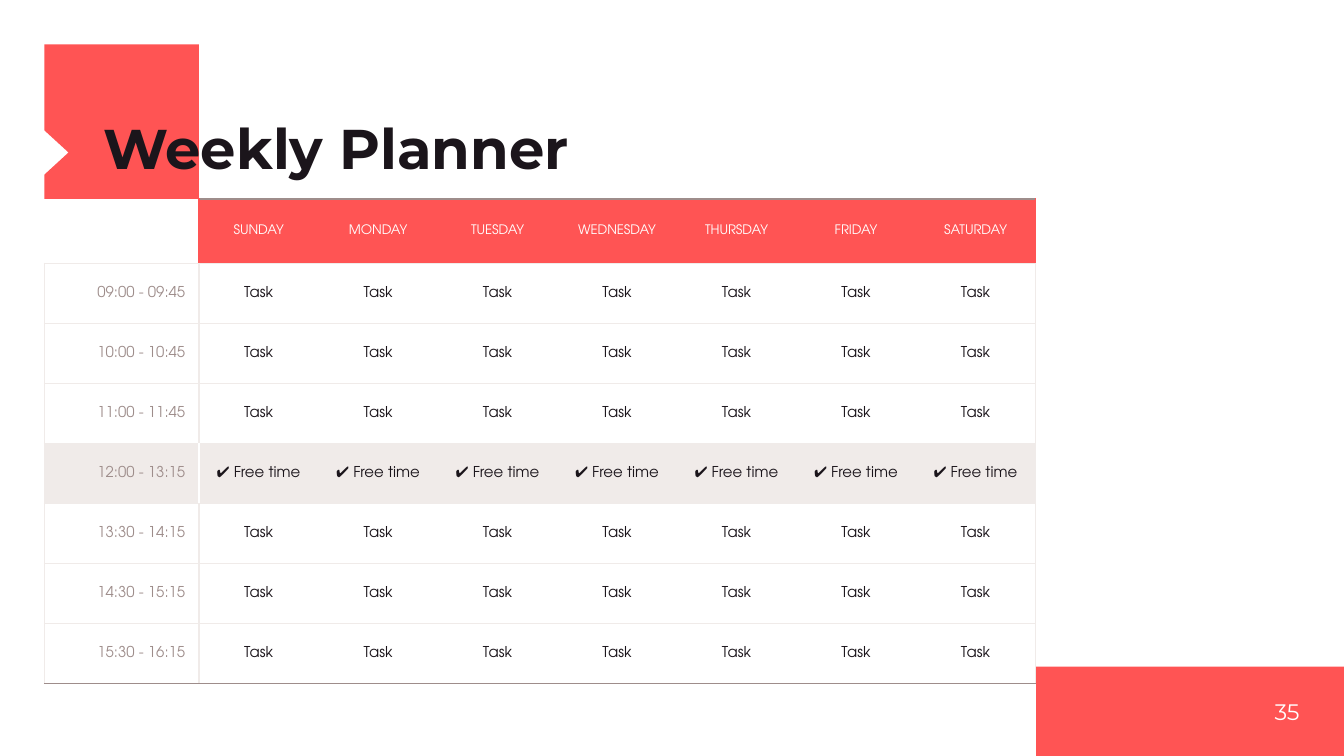
from lxml.etree import SubElement
from pptx import Presentation
from pptx.dml.color import RGBColor
from pptx.enum.shapes import MSO_SHAPE as SHAPE
from pptx.enum.text import MSO_ANCHOR as ANCHOR, PP_ALIGN as ALIGN
from pptx.oxml.ns import qn
from pptx.util import Inches, Pt

COLORS = {"coral": "FF5454", "ink": "1B151B", "taupe": "9E8D8B",
          "light": "F0EBE9", "white": "FFFFFF"}
HEAD, BODY = "Montserrat", "TeX Gyre Adventor"
DAYS = ["SUNDAY", "MONDAY", "TUESDAY", "WEDNESDAY", "THURSDAY", "FRIDAY", "SATURDAY"]
TIMES = ["09:00 - 09:45", "10:00 - 10:45", "11:00 - 11:45", "12:00 - 13:15",
         "13:30 - 14:15", "14:30 - 15:15", "15:30 - 16:15"]
BREAK = 4


class Planner:
    """Draws slide elements on a grid of 100 columns by 56.25 rows."""

    def __init__(self):
        self.prs = Presentation()
        self.prs.slide_width, self.prs.slide_height = self.grid(100, 56.25)
        self.s = self.prs.slides.add_slide(self.prs.slide_layouts[6])

    def grid(self, *units):
        return [Inches(u / 10) for u in units]

    def rgb(self, name):
        return RGBColor.from_string(COLORS[name])

    def paint(self, sp, color):
        sp.shadow.inherit = False
        sp.fill.solid()
        sp.fill.fore_color.rgb = self.rgb(color)
        sp.line.fill.background()

    def rect(self, box, color):
        self.paint(self.s.shapes.add_shape(SHAPE.RECTANGLE, *self.grid(*box)), color)

    def outline(self, points, color):
        start, *rest = [self.grid(*pt) for pt in points]
        fb = self.s.shapes.build_freeform(*start)
        fb.add_line_segments(rest, close=True)
        self.paint(fb.convert_to_shape(), color)

    def set_text(self, tf, text, size, color, font, align=ALIGN.LEFT, bold=False):
        tf.text = text
        p = tf.paragraphs[0]
        p.alignment = align
        f = p.runs[0].font if p.runs else p.font
        f.name, f.size, f.bold = font, Pt(size), bold
        f.color.rgb = self.rgb(color)
        return p

    def text(self, box, text, size, color, anchor, **style):
        tf = self.s.shapes.add_textbox(*self.grid(*box)).text_frame
        tf.word_wrap = True
        tf.vertical_anchor = anchor
        tf.margin_left = tf.margin_top = tf.margin_right = tf.margin_bottom = 0
        return self.set_text(tf, text, size, color, HEAD, **style)

    def borders(self, cell, **sides):
        tcPr = cell._tc.get_or_add_tcPr()
        for side, color in sides.items():
            ln = SubElement(tcPr, qn(f"a:ln{side}"), w=str(Pt(0.75)))
            if color:
                fill = SubElement(ln, qn("a:solidFill"))
                SubElement(fill, qn("a:srgbClr"), val=COLORS[color])
            else:
                SubElement(ln, qn("a:noFill"))

    def table(self, left, top, widths, heights, rows, look, h_edge, v_edge):
        box = self.grid(left, top, sum(widths), sum(heights))
        tbl = self.s.shapes.add_table(len(heights), len(widths), *box).table
        tbl.first_row = tbl.horz_banding = False
        for col, w in zip(tbl.columns, self.grid(*widths)):
            col.width = w
        for row, h in zip(tbl.rows, self.grid(*heights)):
            row.height = h
        for r, values in enumerate(rows):
            for c, value in enumerate(values):
                cell = tbl.cell(r, c)
                size, color, align, fill = look(r, c)
                self.set_text(cell.text_frame, value, size, color, BODY, align)
                cell.vertical_anchor = ANCHOR.MIDDLE
                cell.margin_left = cell.margin_right = Inches(0.1)
                cell.margin_top = cell.margin_bottom = Inches(0.1)
                self.borders(cell, L=v_edge(r, c), R=v_edge(r, c + 1),
                             T=h_edge(r, c), B=h_edge(r + 1, c))
                if fill:
                    cell.fill.solid()
                    cell.fill.fore_color.rgb = self.rgb(fill)
                else:
                    cell.fill.background()


def look(r, c):
    if r == 0:
        return 7, "white", ALIGN.CENTER, "coral" if c else None
    fill = "light" if r == BREAK else None
    return (8, "ink", ALIGN.CENTER, fill) if c else (8, "taupe", ALIGN.RIGHT, fill)


def h_edge(r, c):
    if r == 0:
        return "taupe" if c else None
    return "taupe" if r == len(TIMES) + 1 else "light"


def v_edge(r, c):
    if c not in (0, 1, len(DAYS) + 1):
        return None
    if r == 0:
        return "coral" if c else None
    return "white" if r == BREAK and c == 1 else "light"


def main():
    pl = Planner()
    left, top, side = 3.3, 3.3, 11.5
    right, bottom = left + side, top + side
    pl.outline([(left, top), (right, top), (right, bottom), (left, bottom),
                (left, 13), (5.1, 11.35), (left, 9.7)], "coral")
    pl.rect((77.1, 49.6, 22.9, 6.65), "coral")
    p = pl.text((7.7, 9.1, 56.1, 4.3), "Weekly Planner", 30, "ink", ANCHOR.BOTTOM, bold=True)
    p.line_spacing = 0.8
    pl.text((90, 49.6, 6.7, 6.7), "35", 12, "white", ANCHOR.MIDDLE, align=ALIGN.RIGHT)
    rows = [["", *DAYS]]
    for r, time in enumerate(TIMES, 1):
        rows.append([time] + ["✔ Free time" if r == BREAK else "Task"] * len(DAYS))
    pl.table(left, bottom, [side] + [8.89] * len(DAYS), [4.8] + [4.47] * len(TIMES),
             rows, look, h_edge, v_edge)
    pl.prs.save("out.pptx")


if __name__ == "__main__":
    main()
